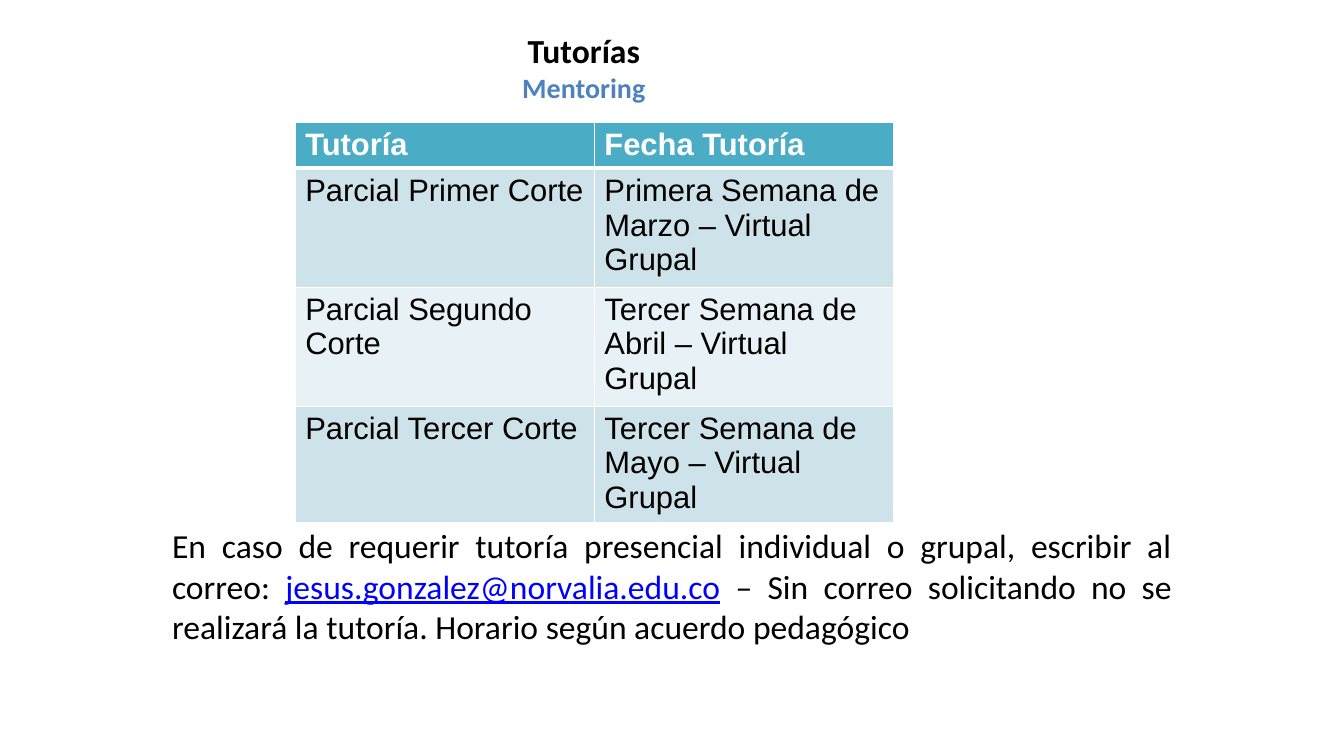
import pptx
import pptx.util
import pptx.dml.color
import pptx.enum.text
import pptx.oxml
import pptx.oxml.ns

ALIGN = pptx.enum.text.PP_ALIGN
THEME = {
    "black": "000000", "white": "FFFFFF", "blue": "4F81BD", "link": "0000FF",
    "head": "4BACC6", "bands": ("CEE2EA", "E8F1F5"),
    "body": "Calibri", "grid": "Arial",
    "big": 24, "mid": 20, "cell": 22.1,
}
ROWS = [
    ("Tutoría", "Fecha Tutoría"),
    ("Parcial Primer Corte", "Primera Semana de Marzo – Virtual Grupal"),
    ("Parcial Segundo Corte", "Tercer Semana de Abril – Virtual Grupal"),
    ("Parcial Tercer Corte", "Tercer Semana de Mayo – Virtual Grupal"),
]
HEIGHTS = (46, 118, 118, 112)


def px(n):
    """Lengths: 100 px to the inch."""
    return pptx.util.Emu(n * 9144)


def rgb(name):
    return pptx.dml.color.RGBColor.from_string(THEME.get(name, name))


def add_run(para, text, color, **form):
    run = para.add_run()
    run.text = text
    form["size"] = pptx.util.Pt(form["size"])
    for key, val in form.items():
        setattr(run.font, key, val)
    run.font.color.rgb = rgb(color)


def add_text(slide, box, paras, align):
    """Text box; each paragraph is a list of (text, color, format)."""
    frame = slide.shapes.add_textbox(*map(px, box)).text_frame
    frame.word_wrap = True
    for i, runs in enumerate(paras):
        para = frame.add_paragraph() if i else frame.paragraphs[0]
        para.alignment = align
        for text, color, form in runs:
            add_run(para, text, color, name=THEME["body"], **form)


def add_edges(cell, widths):
    """White cell borders, widths in points by side."""
    props = cell._tc.get_or_add_tcPr()
    space = pptx.oxml.ns.nsdecls("a")
    for i, (side, width) in enumerate(widths.items()):
        props.insert(i, pptx.oxml.parse_xml(
            f'<a:ln{side} {space} w="{width * 12700}"><a:solidFill>'
            f'<a:srgbClr val="{THEME["white"]}"/></a:solidFill></a:ln{side}>'))


def add_title(slide, box):
    add_text(slide, box, [
        [("Tutorías", "black", {"size": THEME["big"], "bold": True})],
        [("Mentoring", "blue", {"size": THEME["mid"], "bold": True})],
    ], ALIGN.CENTER)


def add_dates(slide, left, top, width):
    box = (left, top, width, sum(HEIGHTS))
    table = slide.shapes.add_table(len(ROWS), 2, *map(px, box)).table
    for col in table.columns:
        col.width = px(width // 2)
    for r, texts in enumerate(ROWS):
        head = r == 0
        table.rows[r].height = px(HEIGHTS[r])
        for c, text in enumerate(texts):
            cell = table.cell(r, c)
            cell.margin_bottom = 0
            cell.fill.solid()
            cell.fill.fore_color.rgb = rgb(
                "head" if head else THEME["bands"][(r - 1) % 2])
            add_run(cell.text_frame.paragraphs[0], text,
                    "white" if head else "black",
                    name=THEME["grid"], size=THEME["cell"], bold=head)
            add_edges(cell, {"L": 1, "R": 1, "T": 3 if r == 1 else 1,
                             "B": 3 if head else 1})


def add_note(slide, box):
    size = {"size": THEME["big"]}
    add_text(slide, box, [[
        ("En caso de requerir tutoría presencial individual o grupal, "
         "escribir al correo: ", "black", size),
        ("jesus.gonzalez@norvalia.edu.co", "link",
         {**size, "underline": True}),
        (" – Sin correo solicitando no se realizará la tutoría. "
         "Horario según acuerdo pedagógico", "black", size),
    ]], ALIGN.JUSTIFY)


def main():
    deck = pptx.Presentation()
    deck.slide_width, deck.slide_height = px(1334), px(750)
    slide = deck.slides.add_slide(deck.slide_layouts[6])
    # Heading, table of dates, note below
    add_title(slide, (353, 25, 453, 84))
    add_dates(slide, 293, 121, 594)
    add_note(slide, (161, 516, 1012, 131))
    deck.save("out.pptx")


if __name__ == "__main__":
    main()
